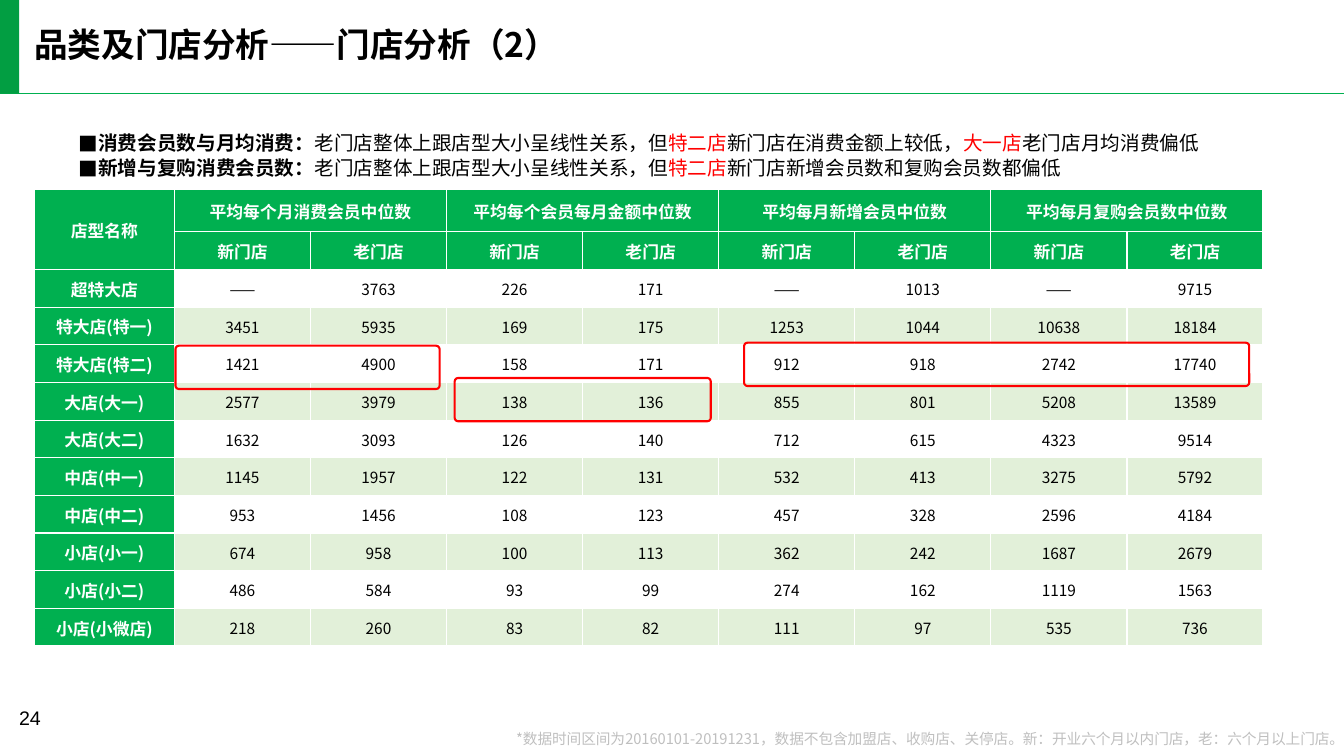
from lxml import etree
from pptx import Presentation
from pptx.dml.color import RGBColor
from pptx.enum.shapes import MSO_CONNECTOR, MSO_SHAPE
from pptx.enum.text import MSO_ANCHOR, MSO_AUTO_SIZE, PP_ALIGN
from pptx.oxml.ns import qn
from pptx.util import Inches, Pt

LINE = MSO_CONNECTOR.STRAIGHT
RECT, ROUNDED = MSO_SHAPE.RECTANGLE, MSO_SHAPE.ROUNDED_RECTANGLE
TOP, MIDDLE = MSO_ANCHOR.TOP, MSO_ANCHOR.MIDDLE
LEFT, CENTER, RIGHT = PP_ALIGN.LEFT, PP_ALIGN.CENTER, PP_ALIGN.RIGHT
FIT_SHAPE = MSO_AUTO_SIZE.SHAPE_TO_FIT_TEXT

BLACK = RGBColor(0x00, 0x00, 0x00)
WHITE = RGBColor(0xFF, 0xFF, 0xFF)
RED = RGBColor(0xFF, 0x00, 0x00)
GREEN = RGBColor(0x00, 0xB0, 0x50)
DARK_GREEN = RGBColor(0x02, 0x9E, 0x42)
PALE_GREEN = RGBColor(0xE2, 0xF0, 0xD9)
GRAY = RGBColor(0xBF, 0xBF, 0xBF)

TREND = "老门店整体上跟店型大小呈线性关系，但"
# Each run: text, colour, bold
FINDINGS = [
    [("消费会员数与月均消费：", BLACK, True), (TREND, BLACK, False),
     ("特二店", RED, False), ("新门店在消费金额上较低，", BLACK, False),
     ("大一店", RED, False), ("老门店月均消费偏低", BLACK, False)],
    [("新增与复购消费会员数：", BLACK, True), (TREND, BLACK, False),
     ("特二店", RED, False),
     ("新门店新增会员数和复购会员数都偏低", BLACK, False)],
]
METRICS = ["平均每个月消费会员中位数", "平均每个会员每月金额中位数",
           "平均每月新增会员中位数", "平均每月复购会员数中位数"]
STORES = [
    ("超特大店", "——", 3763, 226, 171, "——", 1013, "——", 9715),
    ("特大店(特一)", 3451, 5935, 169, 175, 1253, 1044, 10638, 18184),
    ("特大店(特二)", 1421, 4900, 158, 171, 912, 918, 2742, 17740),
    ("大店(大一)", 2577, 3979, 138, 136, 855, 801, 5208, 13589),
    ("大店(大二)", 1632, 3093, 126, 140, 712, 615, 4323, 9514),
    ("中店(中一)", 1145, 1957, 122, 131, 532, 413, 3275, 5792),
    ("中店(中二)", 953, 1456, 108, 123, 457, 328, 2596, 4184),
    ("小店(小一)", 674, 958, 100, 113, 362, 242, 1687, 2679),
    ("小店(小二)", 486, 584, 93, 99, 274, 162, 1119, 1563),
    ("小店(小微店)", 218, 260, 83, 82, 111, 97, 535, 736),
]
HIGHLIGHTS = [(7.38, 3.4, 5.01, 0.43), (4.51, 3.75, 2.54, 0.43),
              (1.74, 3.43, 2.62, 0.43)]


class StoreSlide:
    font = "Noto Sans CJK SC"

    def __init__(self, slide):
        self.slide = slide

    def run(self, paragraph, text, size, color, bold=False, font=None):
        run = paragraph.add_run()
        run.text = text
        run.font.name = font or self.font
        run.font.size = Pt(size)
        run.font.bold = bold
        run.font.color.rgb = color
        east_asian = etree.SubElement(run.font._element, qn("a:ea"))
        east_asian.set("typeface", font or self.font)

    def bullet(self, paragraph):
        properties = paragraph._p.get_or_add_pPr()
        properties.set("marL", str(Inches(0.19)))
        properties.set("indent", str(-Inches(0.19)))
        etree.SubElement(properties, qn("a:buFont")).set("typeface", self.font)
        etree.SubElement(properties, qn("a:buChar")).set("char", "■")

    def text(self, box, paragraphs, size, font=None, align=LEFT, anchor=TOP,
             spacing=None, padded=False, wrap=True, grow=False, bullets=False):
        """Add a text box; each paragraph is a list of (text, colour, bold)."""
        frame = self.slide.shapes.add_textbox(*map(Inches, box)).text_frame
        frame.word_wrap = wrap
        frame.vertical_anchor = anchor
        if grow:
            frame.auto_size = FIT_SHAPE
        if not padded:
            frame.margin_left = frame.margin_right = 0
            frame.margin_top = frame.margin_bottom = 0
        for index, runs in enumerate(paragraphs):
            paragraph = frame.add_paragraph() if index else frame.paragraphs[0]
            if bullets:
                self.bullet(paragraph)
            paragraph.alignment = align
            paragraph.line_spacing = spacing
            for content, color, bold in runs:
                self.run(paragraph, content, size, color, bold, font)

    def shape(self, kind, box, fill=None, outline=None):
        shape = self.slide.shapes.add_shape(kind, *map(Inches, box))
        shape.shadow.inherit = False
        if fill is None:
            shape.fill.background()
        else:
            shape.fill.solid()
            shape.fill.fore_color.rgb = fill
        if outline is None:
            shape.line.fill.background()
        else:
            shape.line.color.rgb = outline
            shape.line.width = Pt(1.5)
        return shape

    def rule(self, y, color):
        line = self.slide.shapes.add_connector(
            LINE, 0, Inches(y), Inches(13.33), Inches(y))
        line.line.color.rgb = color
        line.line.width = Pt(1)
        etree.SubElement(line._element.spPr, qn("a:effectLst"))

    def cell(self, cell, text, fill, size, color, bold):
        properties = cell._tc.get_or_add_tcPr()
        for side in ("lnL", "lnR", "lnT", "lnB"):
            border = etree.SubElement(properties, qn(f"a:{side}"), w=str(Pt(1)))
            solid = etree.SubElement(border, qn("a:solidFill"))
            etree.SubElement(solid, qn("a:srgbClr"), val=str(WHITE))
        cell.fill.solid()
        cell.fill.fore_color.rgb = fill
        cell.margin_left = cell.margin_right = cell.margin_top = Inches(0.01)
        cell.margin_bottom = 0
        cell.vertical_anchor = MIDDLE
        paragraph = cell.text_frame.paragraphs[0]
        paragraph.alignment = CENTER
        if text:
            self.run(paragraph, text, size, color, bold)

    def store_table(self, box):
        metric_row = ["店型名称"]
        for metric in METRICS:
            metric_row += [metric, ""]
        age_row = [""] + ["新门店", "老门店"] * len(METRICS)
        rows = [metric_row, age_row, *STORES]
        table = self.slide.shapes.add_table(
            len(rows), len(age_row), *map(Inches, box)).table
        width, height = box[2:]
        for index, column in enumerate(table.columns):
            column.width = Inches((width - 1.39) / 8 if index else 1.39)
        for index, row in enumerate(table.rows):
            row.height = Inches((height - 0.42) / 11 if index else 0.42)
        for r, values in enumerate(rows):
            for c, value in enumerate(values):
                if r < 2 or c == 0:
                    style = (GREEN, 12, WHITE, True)
                else:
                    style = (PALE_GREEN if r % 2 else WHITE, 11, BLACK, False)
                self.cell(table.cell(r, c), str(value), *style)
        table.cell(0, 0).merge(table.cell(1, 0))
        for c in range(1, len(age_row), 2):
            table.cell(0, c).merge(table.cell(0, c + 1))


def main():
    deck = Presentation()
    deck.slide_width, deck.slide_height = Inches(13.33), Inches(7.5)
    page = StoreSlide(deck.slides.add_slide(deck.slide_layouts[6]))

    page.rule(0.93, GREEN)
    page.text((0.34, 0.28, 6.29, 0.36),
              [[("品类及门店分析——门店分析（2）", BLACK, True)]], 24, spacing=0.9)
    page.shape(RECT, (0, -0.01, 0.19, 0.94), fill=DARK_GREEN)
    page.text((0.09, 6.95, 0.91, 0.4), [[("24", BLACK, False)]], 14,
              font="Arial", padded=True)
    page.text((0.78, 1.28, 11.6, 0.5), FINDINGS, 14, anchor=MIDDLE,
              spacing=Pt(18), grow=True, bullets=True)
    footnote = ("*数据时间区间为20160101-20191231，数据不包含加盟店、收购店、关停店。"
                "新：开业六个月以内门店，老：六个月以上门店。")
    page.text((4.91, 7.26, 8.43, 0.16), [[(footnote, GRAY, False)]], 10.5,
              align=RIGHT, spacing=0.9, wrap=False, grow=True)
    page.store_table((0.34, 1.88, 12.19, 4.53))
    for box in HIGHLIGHTS:
        page.shape(ROUNDED, box, outline=RED).adjustments[0] = 0.08

    deck.save("out.pptx")


if __name__ == "__main__":
    main()
